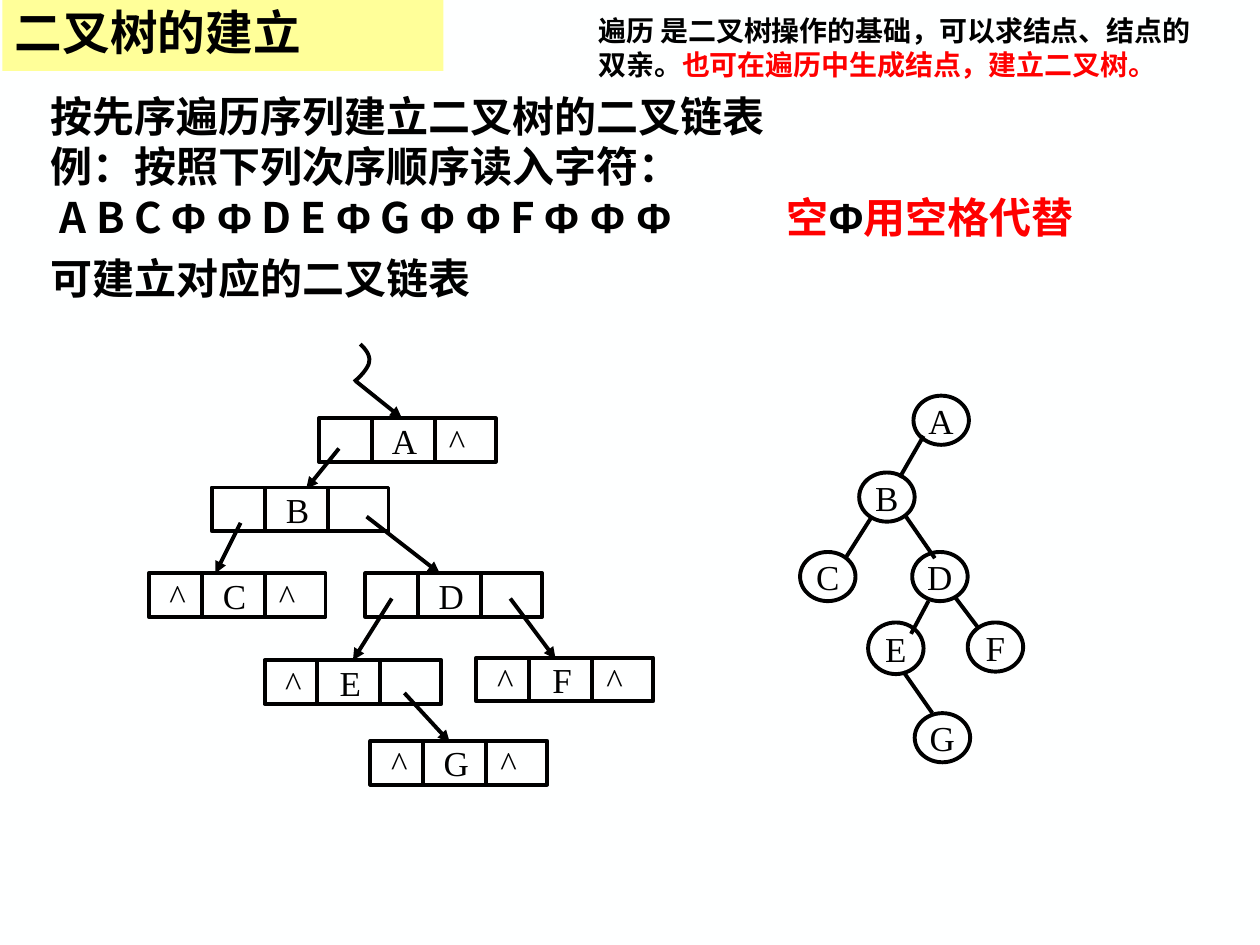
from dataclasses import dataclass

from lxml.etree import SubElement
from pptx import Presentation
from pptx.dml.color import RGBColor
from pptx.enum.shapes import MSO_CONNECTOR as Connector, MSO_SHAPE as Preset
from pptx.enum.text import MSO_ANCHOR as Anchor, PP_ALIGN as Align
from pptx.oxml.ns import qn
from pptx.util import Pt

COLOURS = {"ink": "000000", "accent": "FF0000", "title": "FFFF99", "page": "FEFFFF"}
CJK, SANS, SERIF = "Noto Sans CJK SC", "Arial", "Times New Roman"
LINE_WIDTH = 2.25
RECORD_WIDTH, RECORD_HEIGHT = 101, 25
DIVIDERS = (30.2, 66.2)
FIELD_CENTRES = (16.5, 49, 79)
CIRCLE_WIDTH = 31.7
TOP_SIDE = 0


@dataclass(frozen=True)
class Record:
    """A linked-list node: left pointer, data and right pointer."""
    left: float
    top: float
    fields: tuple[str, str, str]


@dataclass(frozen=True)
class Circle:
    label: str
    left: float
    top: float
    height: float = 28.1


@dataclass(frozen=True)
class Line:
    x1: float
    y1: float
    x2: float
    y2: float
    joins: str = ""


RECORDS = [
    Record(182.2, 239, ("", "A", "^")),
    Record(121, 278.6, ("", "B", "")),
    Record(85, 327.6, ("^", "C", "^")),
    Record(208.8, 327.6, ("", "D", "")),
    Record(151.2, 377.3, ("^", "E", "")),
    Record(272.2, 375.8, ("^", "F", "^")),
    Record(211.7, 423.4, ("^", "G", "^")),
]
POINTERS = [
    Line(193.7, 256.3, 175, 279.4),
    Line(137.5, 298.8, 123.1, 327.6),
    Line(209.5, 295.2, 251.3, 327.6),
    Line(223.9, 342, 200.9, 376.6, joins="E"),
    Line(291.6, 342, 317.5, 376.6),
    Line(231.1, 396, 257, 424.1),
    Line(203.8, 218.2, 229.7, 239),
]
CIRCLES = [
    Circle("A", 522, 226.1), Circle("B", 491, 270), Circle("C", 457.2, 315.4),
    Circle("D", 521.3, 315.4), Circle("E", 496.1, 355.7, 29.5),
    Circle("F", 553, 355.7), Circle("G", 522.7, 407.5),
]
EDGES = [
    Line(527.8, 249.1, 514.1, 272.9), Line(498.2, 295.2, 483.1, 319),
    Line(517.7, 295.2, 534.2, 319), Line(530.6, 343.4, 520.6, 362.2),
    Line(545.8, 341.3, 559.4, 359.3), Line(516.2, 383.8, 532.8, 407.5),
]
# Two cubic curves that form the root pointer's hook
HOOK = [
    ((205.9, 196.6), (208.8, 199.4), (211.7, 203), (211, 206.6)),
    ((211, 206.6), (211, 210.2), (204.5, 216.7), (202.3, 218.2)),
]


def colour(name: str) -> RGBColor:
    return RGBColor.from_string(COLOURS[name])


def add_run(paragraph, text: str, size: float, font: str = CJK,
            ink: str = "ink", bold: bool = True) -> None:
    run = paragraph.add_run()
    run.text = text
    run.font.size, run.font.bold, run.font.name = Pt(size), bold, font
    run.font.color.rgb = colour(ink)
    SubElement(run.font._element, qn("a:ea"), typeface=CJK)


def add_tabs(paragraph, stops: list[tuple[float, str]]) -> None:
    tab_list = SubElement(paragraph._p.get_or_add_pPr(), qn("a:tabLst"))
    for position, alignment in stops:
        SubElement(tab_list, qn("a:tab"), pos=str(Pt(position)), algn=alignment)


def outline(shape) -> None:
    shape.shadow.inherit = False
    shape.fill.background()
    shape.line.color.rgb = colour("ink")
    shape.line.width = Pt(LINE_WIDTH)


def add_line(slide, line: Line, arrow: bool = False):
    connector = slide.shapes.add_connector(
        Connector.STRAIGHT, Pt(line.x1), Pt(line.y1), Pt(line.x2), Pt(line.y2))
    connector.line.color.rgb = colour("ink")
    connector.line.width = Pt(LINE_WIDTH)
    if arrow:
        SubElement(connector.line._get_or_add_ln(), qn("a:tailEnd"), type="triangle")
    SubElement(connector._element.spPr, qn("a:effectLst"))
    return connector


def add_circle(slide, circle: Circle) -> None:
    shape = slide.shapes.add_shape(Preset.OVAL, Pt(circle.left), Pt(circle.top),
                                   Pt(CIRCLE_WIDTH), Pt(circle.height))
    outline(shape)
    frame = shape.text_frame
    frame.word_wrap, frame.vertical_anchor = False, Anchor.MIDDLE
    frame.paragraphs[0].alignment = Align.CENTER
    add_run(frame.paragraphs[0], circle.label, 20, SERIF, bold=False)


def add_record(slide, record: Record):
    shape = slide.shapes.add_shape(Preset.RECTANGLE, Pt(record.left), Pt(record.top),
                                   Pt(RECORD_WIDTH), Pt(RECORD_HEIGHT))
    outline(shape)
    frame = shape.text_frame
    frame.margin_left = frame.margin_right = 0
    frame.word_wrap, frame.vertical_anchor = True, Anchor.MIDDLE
    paragraph = frame.paragraphs[0]
    paragraph.alignment = Align.LEFT
    add_tabs(paragraph, [(centre, "ctr") for centre in FIELD_CENTRES])
    text = "".join("\t" + field for field in record.fields).rstrip()
    add_run(paragraph, text, 20, SERIF, bold=False)
    for offset in DIVIDERS:
        x = record.left + offset
        add_line(slide, Line(x, record.top, x, record.top + RECORD_HEIGHT))
    return shape


def add_hook(slide, steps: int = 8) -> None:
    points = []
    for curve in HOOK:
        for step in range(steps + 1):
            t = step / steps
            weights = ((1 - t) ** 3, 3 * t * (1 - t) ** 2, 3 * t * t * (1 - t), t ** 3)
            points.append(tuple(Pt(sum(w * p[axis] for w, p in zip(weights, curve)))
                                for axis in (0, 1)))
    builder = slide.shapes.build_freeform(*points[0])
    builder.add_line_segments(points[1:], close=False)
    outline(builder.convert_to_shape())


def add_text_frame(slide, left: float, top: float, width: float, height: float):
    frame = slide.shapes.add_textbox(Pt(left), Pt(top), Pt(width), Pt(height)).text_frame
    frame.word_wrap = True
    return frame


def main() -> None:
    presentation = Presentation()
    presentation.slide_width, presentation.slide_height = Pt(720), Pt(540)
    slide = presentation.slides.add_slide(presentation.slide_layouts[6])
    slide.background.fill.solid()
    slide.background.fill.fore_color.rgb = colour("page")

    # Binary tree
    for circle in CIRCLES:
        add_circle(slide, circle)
    for edge in EDGES:
        add_line(slide, edge)

    # Linked list with its pointers
    records = {record.fields[1]: add_record(slide, record) for record in RECORDS}
    add_hook(slide)
    for pointer in POINTERS:
        connector = add_line(slide, pointer, arrow=True)
        if pointer.joins:
            connector.end_connect(records[pointer.joins], TOP_SIDE)

    # Explanation
    frame = add_text_frame(slide, 21.6, 48.2, 679, 128.9)
    paragraph, closing = frame.paragraphs[0], frame.add_paragraph()
    paragraph.space_before = closing.space_before = Pt(6)
    add_tabs(paragraph, [(421, "l")])
    for sentence in ("按先序遍历序列建立二叉树的二叉链表", "例：按照下列次序顺序读入字符："):
        add_run(paragraph, sentence, 24)
        paragraph.add_line_break()
    for text, font in ((" A B C ", CJK), ("Φ Φ", SANS), (" D E ", CJK), ("Φ", SANS),
                       (" G ", CJK), ("Φ Φ", SANS), (" F ", CJK), ("Φ Φ Φ\t", SANS)):
        add_run(paragraph, text, 24, font)
    add_run(paragraph, "空", 24, ink="accent")
    add_run(paragraph, "Φ", 24, SANS)
    add_run(paragraph, "用空格代替", 24, ink="accent")
    add_run(closing, "可建立对应的二叉链表", 24)

    # Title
    title = slide.shapes.add_shape(Preset.RECTANGLE, Pt(1.4), 0, Pt(252), Pt(40.5))
    outline(title)
    title.line.fill.background()
    title.fill.solid()
    title.fill.fore_color.rgb = colour("title")
    title.text_frame.vertical_anchor = Anchor.MIDDLE
    heading = title.text_frame.paragraphs[0]
    heading.alignment, heading.line_spacing = Align.LEFT, 0.9
    add_run(heading, "二叉树的建立", 27.2)

    # Remark at the top right
    remark = add_text_frame(slide, 334.8, 4.3, 365, 46).paragraphs[0]
    add_run(remark, "遍历 是二叉树操作的基础，可以求结点、结点的双亲。", 16, SERIF)
    add_run(remark, "也可在遍历中生成结点，建立二叉树。", 16, SERIF, "accent")

    presentation.save("out.pptx")


if __name__ == "__main__":
    main()
